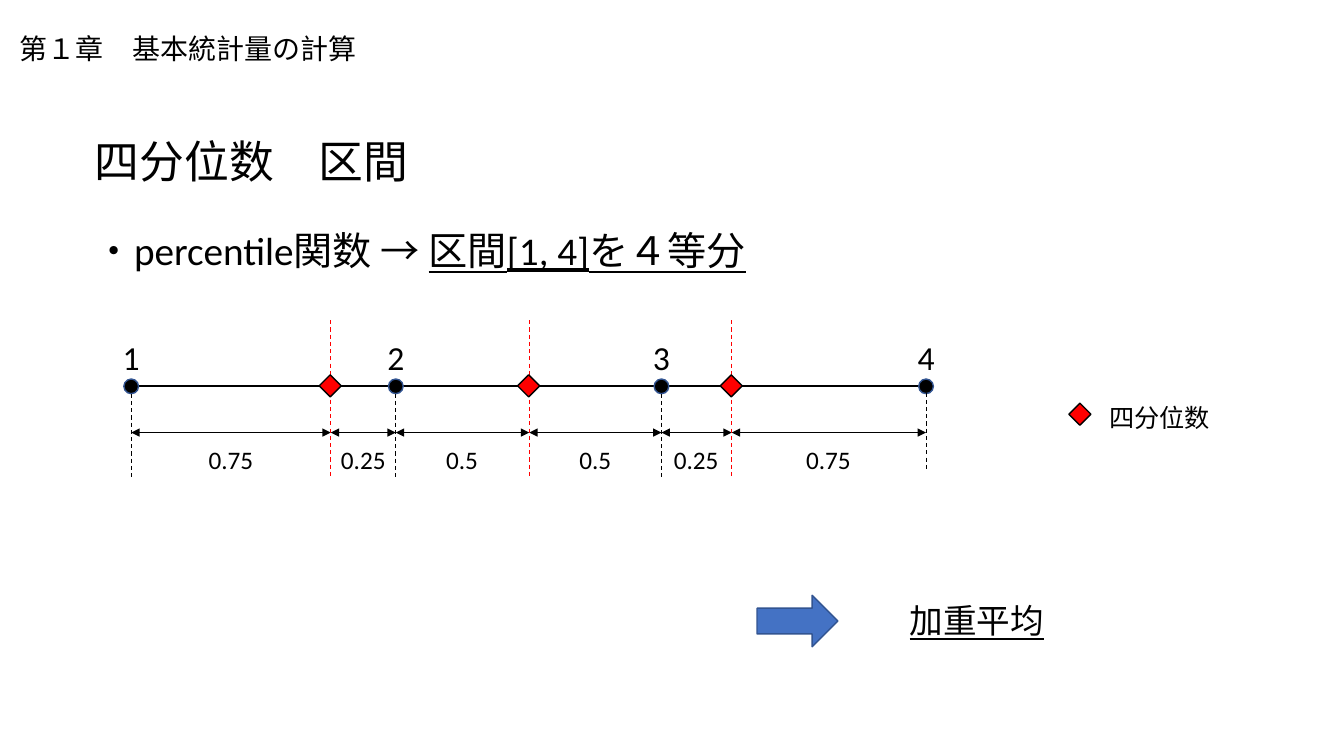
from dataclasses import dataclass
from itertools import pairwise

from lxml import etree
from pptx import Presentation
from pptx.dml.color import RGBColor
from pptx.enum.dml import MSO_LINE
from pptx.enum.shapes import MSO_CONNECTOR, MSO_SHAPE
from pptx.enum.text import MSO_ANCHOR, MSO_AUTO_SIZE, PP_ALIGN
from pptx.oxml.ns import qn
from pptx.util import Emu, Pt

PX = 9525
STRAIGHT = MSO_CONNECTOR.STRAIGHT
OVAL, DIAMOND, ARROW = MSO_SHAPE.OVAL, MSO_SHAPE.DIAMOND, MSO_SHAPE.RIGHT_ARROW
LEFT, CENTER = PP_ALIGN.LEFT, PP_ALIGN.CENTER
TOP, MIDDLE = MSO_ANCHOR.TOP, MSO_ANCHOR.MIDDLE
FIT, DASH = MSO_AUTO_SIZE.SHAPE_TO_FIT_TEXT, MSO_LINE.DASH


@dataclass(frozen=True)
class Theme:
    font: str = "Calibri"
    chapter_font: str = "Arial"
    ink: str = "000000"
    quartile: str = "FF0000"
    arrow: str = "4472C4"
    edge: str = "325491"
    heading: int = 32
    body: int = 28
    label: int = 24
    chapter: int = 20
    small: int = 18


THEME = Theme()


@dataclass(frozen=True)
class Box:
    x: int
    y: int
    w: int
    h: int

    def emu(self) -> list[Emu]:
        return [Emu(v * PX) for v in (self.x, self.y, self.w, self.h)]


@dataclass(frozen=True)
class Run:
    text: str
    size: int
    underline: bool = False
    font: str = THEME.font


@dataclass(frozen=True)
class Label:
    box: Box
    runs: tuple[Run, ...]
    align: PP_ALIGN = LEFT


AXIS_Y, SPAN_Y = 368, 412
TICKS = [125 + round(757 * i / 3) for i in range(4)]
QUARTILES = [315, 504, 697]
GAPS = ["0.75", "0.25", "0.5", "0.5", "0.25", "0.75"]
DOT, MARK, LABEL_W = 14, 21, 88

CHAPTER = Label(Box(0, 0, 1104, 85), (
    Run(" ", THEME.heading),
    Run("第１章　基本統計量の計算", THEME.chapter, font=THEME.chapter_font)))
LABELS = [
    Label(Box(81, 123, 690, 61), (Run("四分位数　区間", THEME.heading),)),
    Label(Box(81, 211, 654, 55), (
        Run("・percentile関数 → ", THEME.body),
        Run("区間[1, 4]を４等分", THEME.body, True))),
    Label(Box(1047, 378, 182, 38), (Run("四分位数", THEME.small),)),
    Label(Box(857, 567, 379, 48), (Run("加重平均", THEME.label, True),)),
]


def add_label(shapes, label: Label, anchor: MSO_ANCHOR = TOP):
    sp = shapes.add_textbox(*label.box.emu())
    tf = sp.text_frame
    tf.word_wrap = True
    tf.vertical_anchor = anchor
    if anchor == TOP:
        tf.auto_size = FIT
    p = tf.paragraphs[0]
    p.alignment = label.align
    for run in label.runs:
        r = p.add_run()
        r.text = run.text
        formats = {"name": run.font, "size": Pt(run.size), "underline": run.underline}
        for name, value in formats.items():
            setattr(r.font, name, value)
        r.font.color.rgb = RGBColor.from_string(THEME.ink)
    return sp


def add_centered(shapes, text: str, size: int, x: int, y: int, h: int) -> None:
    """Place a one-run label centred on x."""
    box = Box(x - LABEL_W // 2, y, LABEL_W, h)
    add_label(shapes, Label(box, (Run(text, size),), CENTER))


def add_line(shapes, x1: int, y1: int, x2: int, y2: int, width: float,
             color: str = THEME.ink, dashed: bool = False, arrows: bool = False) -> None:
    line = shapes.add_connector(STRAIGHT, *(Emu(v * PX) for v in (x1, y1, x2, y2)))
    line.line.width = Pt(width)
    line.line.color.rgb = RGBColor.from_string(color)
    if dashed:
        line.line.dash_style = DASH
    sp_pr = line.line._get_or_add_ln().getparent()
    if arrows:
        for end in ("a:headEnd", "a:tailEnd"):
            etree.SubElement(sp_pr.find(qn("a:ln")), qn(end), type="triangle")
    etree.SubElement(sp_pr, qn("a:effectLst"))


def add_marker(shapes, kind: MSO_SHAPE, box: Box, fill: str, edge: str) -> None:
    sp = shapes.add_shape(kind, *box.emu())
    sp.shadow.inherit = False
    sp.fill.solid()
    sp.fill.fore_color.rgb = RGBColor.from_string(fill)
    sp.line.color.rgb = RGBColor.from_string(edge)
    sp.line.width = Pt(1)


def add_diamond(shapes, x: int, y: int) -> None:
    add_marker(shapes, DIAMOND, Box(x, y, MARK, MARK), THEME.quartile, THEME.ink)


def draw_axis(shapes) -> None:
    for a, b in pairwise(TICKS):
        add_line(shapes, a, AXIS_Y, b, AXIS_Y, 1.5)
    for number, x in enumerate(TICKS, 1):
        add_centered(shapes, str(number), THEME.label, x, 316, 48)
        dot = Box(x - DOT // 2, AXIS_Y - DOT // 2, DOT, DOT)
        add_marker(shapes, OVAL, dot, THEME.ink, THEME.edge)
        top = 367 if x == TICKS[-1] else 375
        add_line(shapes, x, top, x, top + 80, 0.75, dashed=True)


def draw_gaps(shapes) -> None:
    """Draw the distances between neighbouring ticks and quartiles."""
    for (a, b), gap in zip(pairwise(sorted(TICKS + QUARTILES)), GAPS):
        add_line(shapes, a, SPAN_Y, b, SPAN_Y, 1, arrows=True)
        add_centered(shapes, gap, THEME.small, (a + b) // 2, 418, 38)


def draw_quartiles(shapes) -> None:
    for x in QUARTILES:
        add_line(shapes, x, 305, x, 455, 0.75, THEME.quartile, dashed=True)
        add_diamond(shapes, x - 11, AXIS_Y - 11)
    add_diamond(shapes, 1018, 384)


def main() -> None:
    prs = Presentation()
    prs.slide_width, prs.slide_height = Emu(1280 * PX), Emu(720 * PX)
    shapes = prs.slides.add_slide(prs.slide_layouts[6]).shapes
    chapter = add_label(shapes, CHAPTER, MIDDLE)
    chapter.text_frame.paragraphs[0].line_spacing = 0.9
    for label in LABELS:
        add_label(shapes, label)
    draw_axis(shapes)
    draw_gaps(shapes)
    draw_quartiles(shapes)
    add_marker(shapes, ARROW, Box(721, 567, 77, 49), THEME.arrow, THEME.edge)
    prs.save("out.pptx")


if __name__ == "__main__":
    main()
